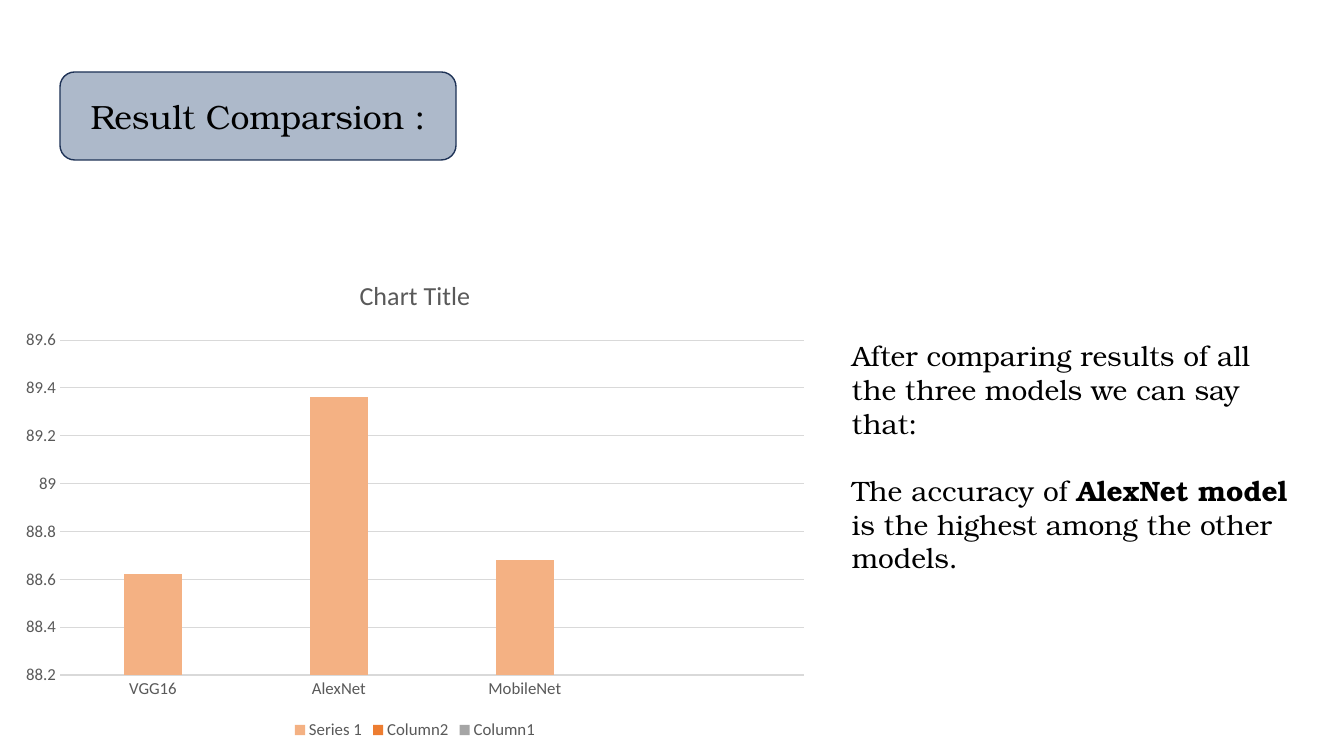
import pptx
import pptx.util
import pptx.chart.data
import pptx.dml.color
import pptx.enum.chart
import pptx.enum.shapes
import pptx.enum.text

HEADING = "Result Comparsion :"
FINDINGS = [
    [("After comparing results of all the three models we can say that:", False)],
    [("The accuracy of ", False), ("AlexNet model ", True),
     ("is the highest among the other models.", False)],
]
CHART_TITLE = "Chart Title"
MODELS = ["VGG16", "AlexNet", "MobileNet", ""]
SERIES = [
    ("Series 1", [88.62, 89.36, 88.68, None], "F4B183"),
    ("Column2", [None] * 4, "ED7D31"),
    ("Column1", [None] * 4, "A5A5A5"),
]
SERIF, SANS = "TeX Gyre Bonum", "Calibri"
BLACK, GREY, RULE = "000000", "595959", "D9D9D9"

# Left, top, width, height in px
SLIDE_SIZE = (1344, 756)
HEADING_AREA = (60, 72, 396, 88)
CHART_AREA = (10, 257, 810, 487)
FINDINGS_AREA = (842, 334, 462, 278)


def px(*lengths):
    return [round(length * 914400 / 100.8) for length in lengths]


def colour(code):
    return pptx.dml.color.RGBColor.from_string(code)


def set_font(font, size, code, name, bold=False):
    font.size = pptx.util.Pt(size)
    font.color.rgb = colour(code)
    font.name = name
    font.bold = bold


def add_text(para, text, **style):
    span = para.add_run()
    span.text = text
    set_font(span.font, **style)


def set_line(line, code, width):
    line.color.rgb = colour(code)
    line.width = pptx.util.Pt(width)


deck = pptx.Presentation()
deck.slide_width, deck.slide_height = px(*SLIDE_SIZE)
page = deck.slides.add_slide(deck.slide_layouts[6])

# Chart
chart_data = pptx.chart.data.CategoryChartData()
chart_data.categories = MODELS
for name, values, code in SERIES:
    chart_data.add_series(name, values)
chart = page.shapes.add_chart(
    pptx.enum.chart.XL_CHART_TYPE.COLUMN_STACKED, *px(*CHART_AREA), chart_data).chart
set_font(chart.font, 12, GREY, SANS)
chart.has_title = True
chart.chart_title.include_in_layout = False
add_text(chart.chart_title.text_frame.paragraphs[0], CHART_TITLE,
         size=18.6, code=GREY, name=SANS)
chart.has_legend = True
chart.legend.position = pptx.enum.chart.XL_LEGEND_POSITION.BOTTOM
chart.legend.include_in_layout = False
set_font(chart.legend.font, 12, GREY, SANS)

plot = chart.plots[0]
plot.gap_width, plot.overlap = 219, 100
plot.vary_by_categories = False
for series, (name, values, code) in zip(plot.series, SERIES):
    series.format.fill.solid()
    series.format.fill.fore_color.rgb = colour(code)

# Axes
for axis in (chart.category_axis, chart.value_axis):
    axis.major_tick_mark = pptx.enum.chart.XL_TICK_MARK.NONE
    axis.minor_tick_mark = pptx.enum.chart.XL_TICK_MARK.NONE
    set_font(axis.tick_labels.font, 12, GREY, SANS)
set_line(chart.category_axis.format.line, RULE, 0.75)
scale = chart.value_axis
scale.minimum_scale, scale.maximum_scale, scale.major_unit = 88.2, 89.6, 0.2
scale.tick_labels.number_format = "General"
scale.tick_labels.number_format_is_linked = False
scale.format.line.fill.background()
set_line(scale.major_gridlines.format.line, RULE, 0.75)

# Heading
heading = page.shapes.add_shape(
    pptx.enum.shapes.MSO_SHAPE.ROUNDED_RECTANGLE, *px(*HEADING_AREA))
heading.shadow.inherit = False
heading.fill.solid()
heading.fill.fore_color.rgb = colour("ADB9CA")
set_line(heading.line, "1E3256", 1)
heading.text_frame.word_wrap = True
heading.text_frame.vertical_anchor = pptx.enum.text.MSO_ANCHOR.MIDDLE
para = heading.text_frame.paragraphs[0]
para.alignment = pptx.enum.text.PP_ALIGN.CENTER
add_text(para, HEADING, size=24, code=BLACK, name=SERIF)

# Findings
frame = page.shapes.add_textbox(*px(*FINDINGS_AREA)).text_frame
frame.word_wrap = True
for index, spans in enumerate(FINDINGS):
    para = frame.add_paragraph() if index else frame.paragraphs[0]
    if index:
        para.space_before = pptx.util.Pt(24)
    for text, bold in spans:
        add_text(para, text, size=20, code=BLACK, name=SERIF, bold=bold)

deck.save("out.pptx")
